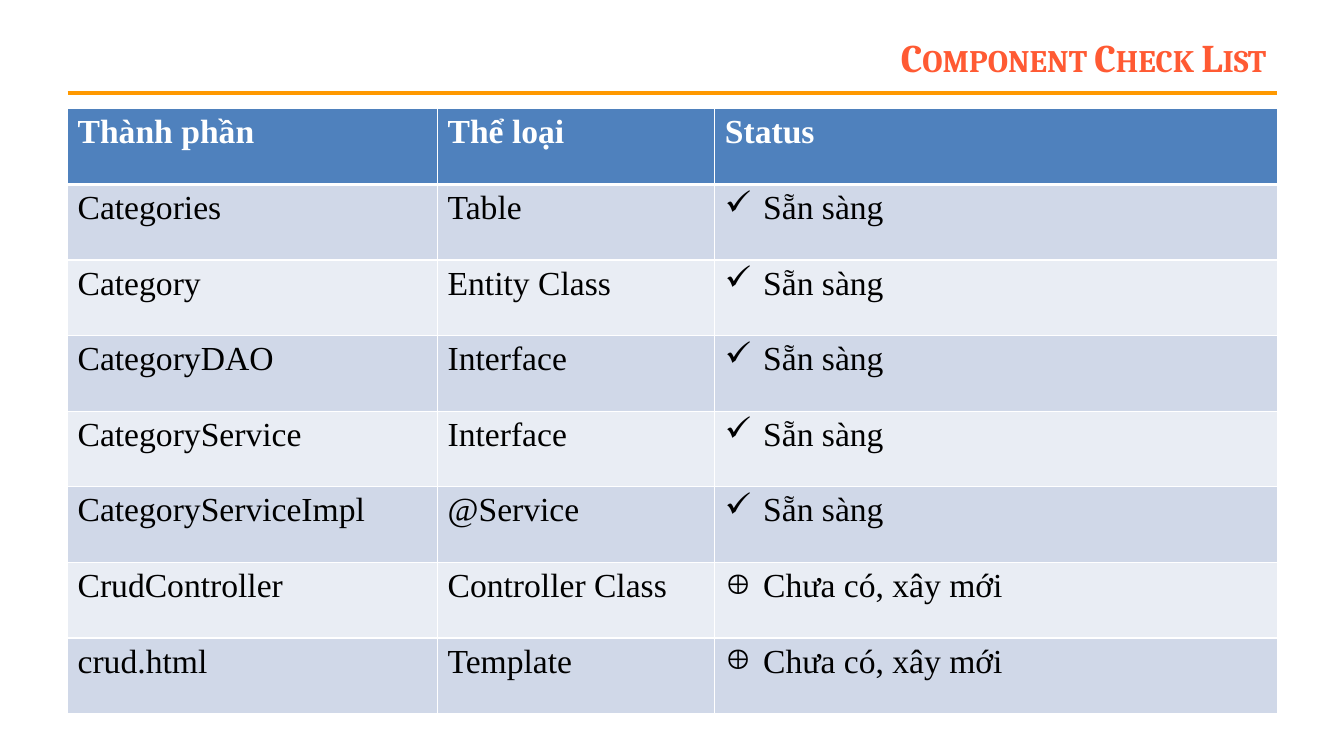
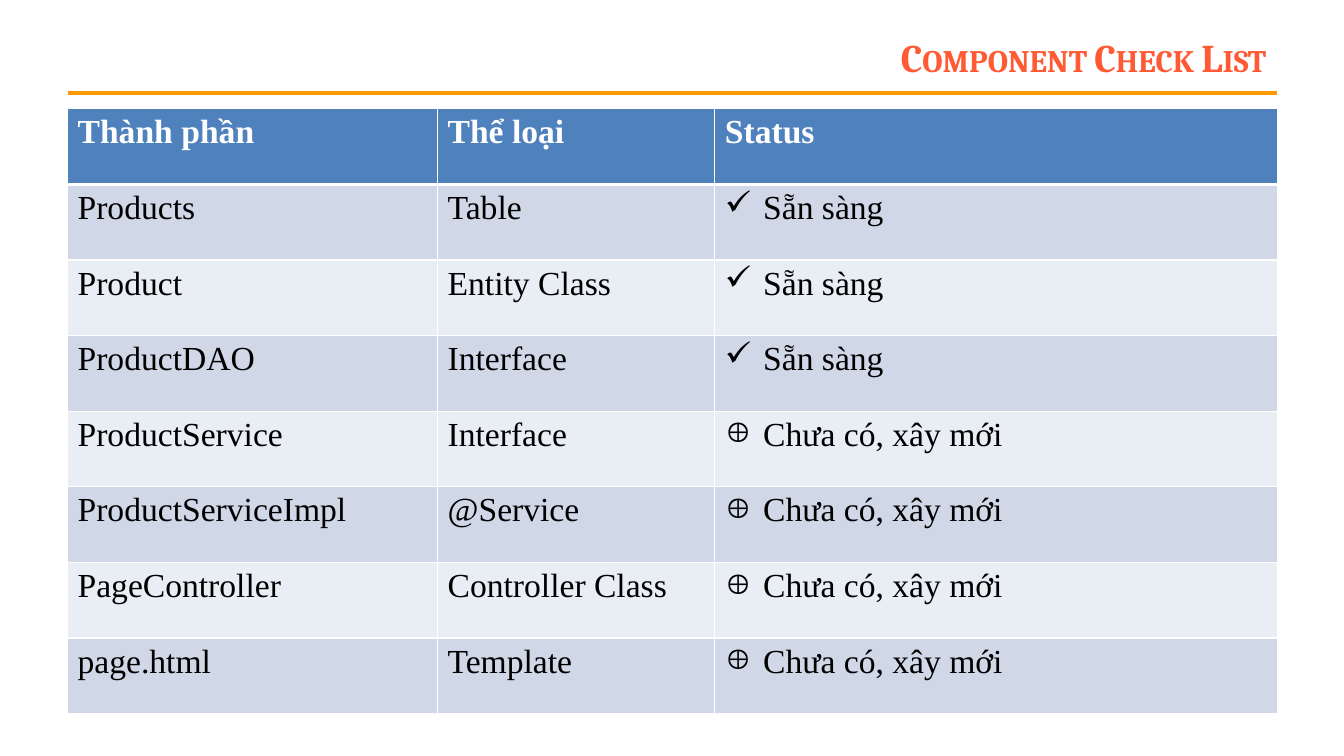
"""Build two component check list slides."""
from dataclasses import dataclass

from lxml import etree
from pptx import Presentation
from pptx.dml.color import RGBColor
from pptx.enum.shapes import MSO_CONNECTOR
from pptx.enum.text import MSO_ANCHOR, MSO_AUTO_SIZE, PP_ALIGN
from pptx.oxml.ns import qn
from pptx.util import Inches, Pt

STRAIGHT = MSO_CONNECTOR.STRAIGHT
MIDDLE = MSO_ANCHOR.MIDDLE
NO_AUTOFIT = MSO_AUTO_SIZE.NONE
RIGHT = PP_ALIGN.RIGHT
TITLE_ONLY = 5


@dataclass(frozen=True)
class Theme:
    """Colours, fonts, type sizes and line widths of the deck."""
    title: str = "FF5A33"
    rule: str = "FF9900"
    header: str = "4F81BD"
    bands: tuple[str, str] = ("D0D8E8", "E9EDF4")
    light: str = "FFFFFF"
    dark: str = "000000"
    title_font: str = "Cambria"
    body_font: str = "Times New Roman"
    title_size: int = 28
    body_size: int = 24
    thick: int = 3
    thin: int = 1


@dataclass(frozen=True)
class Status:
    """A readiness state and its bullet."""
    bullet: str
    label: str


@dataclass(frozen=True)
class CheckList:
    """Component names, the first few of which are ready."""
    components: tuple[str, ...]
    ready_count: int


THEME = Theme()
READY = Status("✓", "Sẵn sàng")
MISSING = Status("⊕", "Chưa có, xây mới")
TITLE = "Component Check List"
HEADERS = ("Thành phần", "Thể loại", "Status")
KINDS = ("Table", "Entity Class", "Interface", "Interface", "@Service",
         "Controller Class", "Template")
CHECK_LISTS = (
    CheckList(("Categories", "Category", "CategoryDAO", "CategoryService",
               "CategoryServiceImpl", "CrudController", "crud.html"), 5),
    CheckList(("Products", "Product", "ProductDAO", "ProductService",
               "ProductServiceImpl", "PageController", "page.html"), 3),
)
LEFT = Inches(0.67)
CONTENT_WIDTH = Inches(12)
RULE_TOP = Inches(0.92)
TABLE_TOP = Inches(1.08)
ROW_HEIGHT = Inches(0.75)
COLUMN_WIDTHS = (Inches(3.67), Inches(2.75), Inches(5.58))
BULLET_INDENT = Inches(0.38)


def write_text(text_frame, text: str, *, size: int = THEME.body_size,
               font: str = THEME.body_font, color: str = THEME.dark,
               bold: bool = False, small_caps: bool = False,
               align: PP_ALIGN | None = None, bullet: str = "") -> None:
    """Write one formatted paragraph into a text frame."""
    paragraph = text_frame.paragraphs[0]
    paragraph.alignment = align
    if bullet:
        properties = paragraph._p.get_or_add_pPr()
        properties.set("marL", str(BULLET_INDENT))
        properties.set("indent", str(-BULLET_INDENT))
        etree.SubElement(properties, qn("a:buChar"), char=bullet)
    run = paragraph.add_run()
    run.text = text
    run.font.size = Pt(size)
    run.font.name = font
    run.font.bold = bold
    run.font.color.rgb = RGBColor.from_string(color)
    if small_caps:
        run._r.get_or_add_rPr().set("cap", "small")


def style_cell(cell, fill: str, *, top: int = THEME.thin,
               bottom: int = THEME.thin) -> None:
    """Give a cell its borders and fill."""
    properties = cell._tc.get_or_add_tcPr()
    widths = {"lnL": THEME.thin, "lnR": THEME.thin, "lnT": top, "lnB": bottom}
    for tag, width in widths.items():
        line = etree.SubElement(properties, qn(f"a:{tag}"), w=str(Pt(width)))
        solid = etree.SubElement(line, qn("a:solidFill"))
        etree.SubElement(solid, qn("a:srgbClr"), val=THEME.light)
    cell.fill.solid()
    cell.fill.fore_color.rgb = RGBColor.from_string(fill)


def add_heading(slide) -> None:
    """Draw the rule and place the slide title above it."""
    rule = slide.shapes.add_connector(
        STRAIGHT, LEFT, RULE_TOP, LEFT + CONTENT_WIDTH, RULE_TOP)
    rule.line.color.rgb = RGBColor.from_string(THEME.rule)
    rule.line.width = Pt(THEME.thick)
    etree.SubElement(rule._element.spPr, qn("a:effectLst"))

    title = slide.shapes.title
    title.left, title.top = Inches(2.44), Inches(0.3)
    title.width, title.height = Inches(10.22), Inches(0.53)
    title.text_frame.auto_size = NO_AUTOFIT
    title.text_frame.vertical_anchor = MIDDLE
    write_text(title.text_frame, TITLE, size=THEME.title_size,
               font=THEME.title_font, color=THEME.title, bold=True,
               small_caps=True, align=RIGHT)


def add_check_table(slide, check_list: CheckList) -> None:
    """Draw the header row and one banded row for each component."""
    row_count = len(check_list.components) + 1
    table = slide.shapes.add_table(
        row_count, len(HEADERS), LEFT, TABLE_TOP, CONTENT_WIDTH,
        ROW_HEIGHT * row_count).table
    for column, width in zip(table.columns, COLUMN_WIDTHS):
        column.width = width
    for column_index, header in enumerate(HEADERS):
        cell = table.cell(0, column_index)
        style_cell(cell, THEME.header, bottom=THEME.thick)
        write_text(cell.text_frame, header, color=THEME.light, bold=True)
    for index, (component, kind) in enumerate(zip(check_list.components, KINDS)):
        status = READY if index < check_list.ready_count else MISSING
        entries = ((component, ""), (kind, ""), (status.label, status.bullet))
        for column_index, (text, bullet) in enumerate(entries):
            cell = table.cell(index + 1, column_index)
            style_cell(cell, THEME.bands[index % 2],
                       top=THEME.thin if index else THEME.thick)
            write_text(cell.text_frame, text, bullet=bullet)


def main() -> None:
    """Build and save the presentation."""
    presentation = Presentation()
    presentation.slide_width = Inches(13.33)
    presentation.slide_height = Inches(7.5)
    for check_list in CHECK_LISTS:
        slide = presentation.slides.add_slide(
            presentation.slide_layouts[TITLE_ONLY])
        add_heading(slide)
        add_check_table(slide, check_list)
    presentation.save("out.pptx")


if __name__ == "__main__":
    main()
